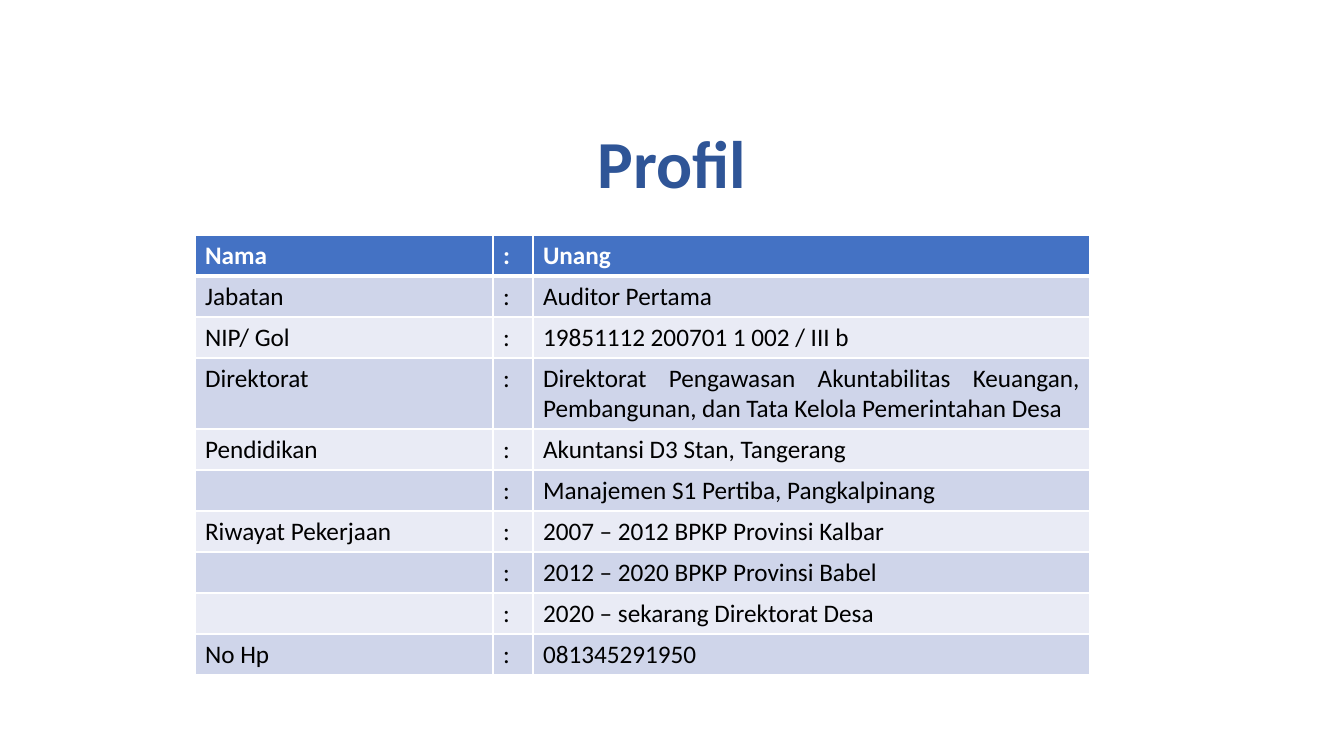
import pptx
import pptx.dml.color
import pptx.enum.text
import pptx.oxml
import pptx.oxml.ns
import pptx.util

EMU_PER_PIXEL = 914400 / 100.8
ALIGN = pptx.enum.text.PP_ALIGN
ANCHOR = pptx.enum.text.MSO_ANCHOR

PROFILE = [
    ("Nama", "Unang"),
    ("Jabatan", "Auditor Pertama"),
    ("NIP/ Gol", "19851112 200701 1 002 / III b"),
    ("Direktorat", "Direktorat Pengawasan Akuntabilitas Keuangan, "
                   "Pembangunan, dan Tata Kelola Pemerintahan Desa"),
    ("Pendidikan", "Akuntansi D3 Stan, Tangerang"),
    ("", "Manajemen S1 Pertiba, Pangkalpinang"),
    ("Riwayat Pekerjaan", "2007 – 2012 BPKP Provinsi Kalbar"),
    ("", "2012 – 2020 BPKP Provinsi Babel"),
    ("", "2020 – sekarang Direktorat Desa"),
    ("No Hp", "081345291950"),
]
COLUMN_WIDTHS = [298, 40, 557]
ROW_HEIGHT, TWO_LINE_HEIGHT = 41, 71


def px(pixels):
    """Turn picture pixels into EMU."""
    return pptx.util.Emu(round(pixels * EMU_PER_PIXEL))


def rgb(color):
    """Turn a hex string into a colour."""
    return pptx.dml.color.RGBColor.from_string(color)


class ProfileSlide:
    """Style of the deck and the slide being built."""

    font = "Calibri"
    title_color = "2F5597"
    header_fill = "4472C4"
    band_fills = ["E9EBF5", "CFD5EA"]
    border_color = "FFFFFF"

    def __init__(self, slide):
        """Keep the slide to draw on."""
        self.slide = slide

    def add_text(self, paragraph, text, size, color, bold=False):
        """Add one styled run."""
        run = paragraph.add_run()
        run.text = text
        run.font.name = self.font
        run.font.size = pptx.util.Pt(size)
        run.font.bold = bold
        run.font.color.rgb = rgb(color)

    def title(self, text, left, top, width, height):
        """Add the centred heading."""
        box = self.slide.shapes.add_textbox(px(left), px(top), px(width), px(height))
        frame = box.text_frame
        frame.word_wrap = True
        frame.vertical_anchor = ANCHOR.BOTTOM
        paragraph = frame.paragraphs[0]
        paragraph.alignment = ALIGN.CENTER
        paragraph.line_spacing = 0.9
        self.add_text(paragraph, text, 48, self.title_color, bold=True)

    def border(self, cell, side, points):
        """Draw one cell edge; sides come in the order L, R, T, B."""
        properties = cell._tc.get_or_add_tcPr()
        properties.append(pptx.oxml.parse_xml(
            f'<a:ln{side} {pptx.oxml.ns.nsdecls("a")} w="{pptx.util.Pt(points)}">'
            f'<a:solidFill><a:srgbClr val="{self.border_color}"/></a:solidFill>'
            f'</a:ln{side}>'))

    def cell(self, cell, text, row, justified):
        """Fill one cell according to its row."""
        header = row == 0
        edges = {"L": 1, "R": 1, "T": 3 if row == 1 else 1, "B": 3 if header else 1}
        for side, points in edges.items():
            self.border(cell, side, points)
        cell.fill.solid()
        cell.fill.fore_color.rgb = rgb(self.header_fill if header else self.band_fills[row % 2])
        paragraph = cell.text_frame.paragraphs[0]
        paragraph.alignment = ALIGN.JUSTIFY if justified else ALIGN.LEFT
        if text:
            self.add_text(paragraph, text, 18, "FFFFFF" if header else "000000", bold=header)

    def profile_table(self, entries, left, top):
        """Add the table of labels, colons and values."""
        heights = [TWO_LINE_HEIGHT if label == "Direktorat" else ROW_HEIGHT
                   for label, value in entries]
        table = self.slide.shapes.add_table(
            len(entries), len(COLUMN_WIDTHS), px(left), px(top),
            px(sum(COLUMN_WIDTHS)), px(sum(heights))).table
        for column, width in zip(table.columns, COLUMN_WIDTHS):
            column.width = px(width)
        for row, (label, value) in enumerate(entries):
            table.rows[row].height = px(heights[row])
            for column, text in enumerate((label, ":", value)):
                self.cell(table.cell(row, column), text, row,
                          justified=column == 2 and row >= 2)


presentation = pptx.Presentation()
presentation.slide_width = px(1344)
presentation.slide_height = px(756)
profile = ProfileSlide(presentation.slides.add_slide(presentation.slide_layouts[6]))
profile.title("Profil", 168, 124, 1008, 84)
profile.profile_table(PROFILE, 195, 235)
presentation.save("out.pptx")
